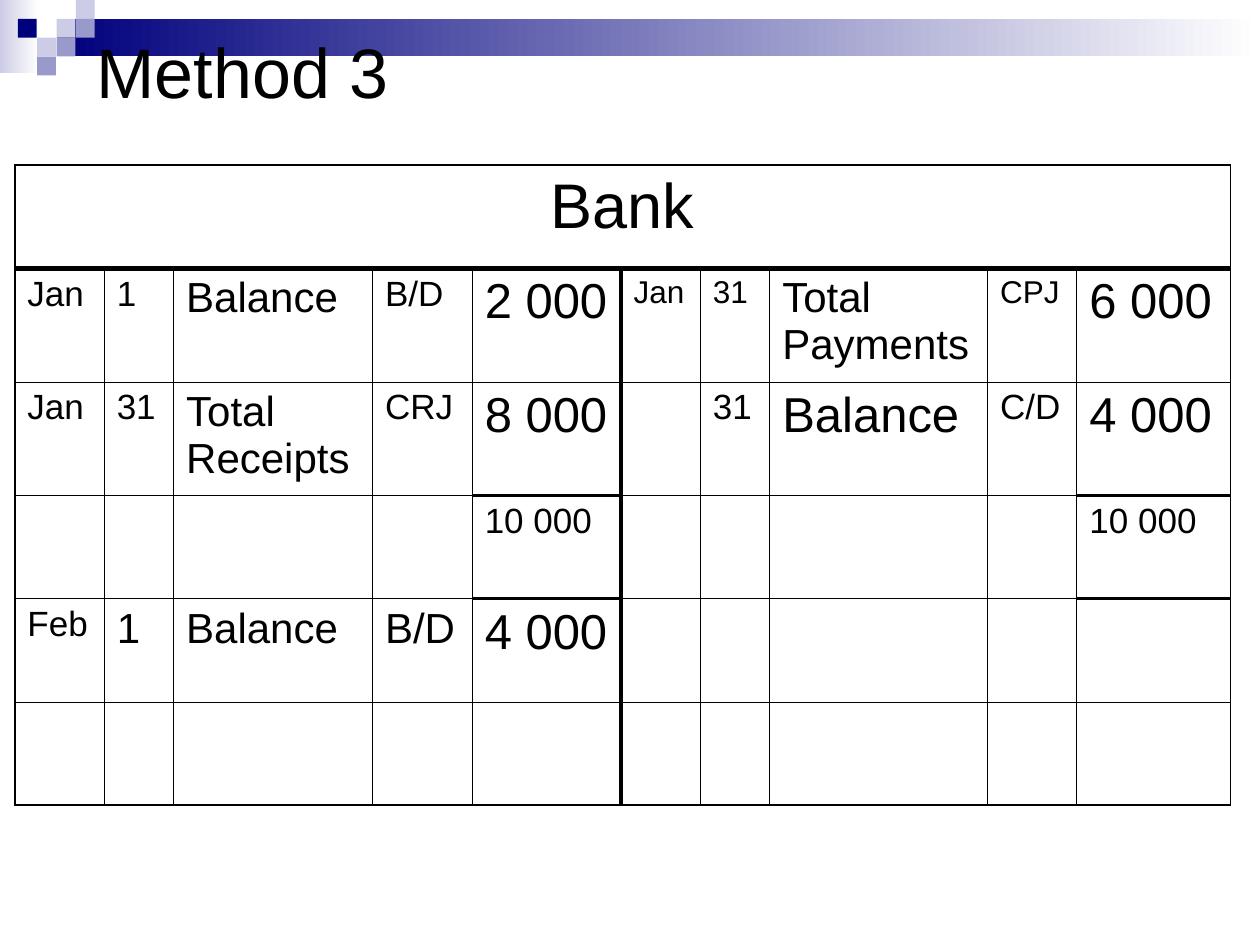
from lxml import etree
from pptx import Presentation
from pptx.dml.color import RGBColor
from pptx.enum.shapes import MSO_SHAPE
from pptx.enum.text import MSO_ANCHOR, PP_ALIGN
from pptx.oxml.ns import qn
from pptx.util import Cm, Pt

RECTANGLE = MSO_SHAPE.RECTANGLE
MIDDLE = MSO_ANCHOR.MIDDLE
CENTER = PP_ALIGN.CENTER

# Content: each entry is (text, type size name), None is an empty cell
TITLE = "Method 3"
ACCOUNT = "Bank"
ENTRIES = [
    [("Jan", "medium"), ("1", "medium"), ("Balance", "large"), ("B/D", "medium"), ("2 000", "amount"),
     ("Jan", "small"), ("31", "small"), ("Total Payments", "large"), ("CPJ", "small"), ("6 000", "amount")],
    [("Jan", "medium"), ("31", "medium"), ("Total Receipts", "large"), ("CRJ", "medium"), ("8 000", "amount"),
     None, ("31", "medium"), ("Balance", "amount"), ("C/D", "medium"), ("4 000", "amount")],
    [None, None, None, None, ("10 000", "medium"),
     None, None, None, None, ("10 000", "medium")],
    [("Feb", "medium"), ("1", "large"), ("Balance", "large"), ("B/D", "large"), ("4 000", "amount"),
     None, None, None, None, None],
    [None] * 10,
]
COLUMN_WIDTHS = [1.8, 1.4, 4.01, 2.01, 3, 1.6, 1.4, 4.39, 1.8, 3.1]
ROW_HEIGHTS = [2.08, 2.29, 2.29, 2.08, 2.08, 2.08]
AMOUNT_COLUMNS = (4, 9)
TOTAL_EDGES = (3, 4)  # rules above and below the totals

THEME = {
    "font": "Arial",
    "text": "000000", "white": "FFFFFF",
    "navy": "00007D", "mid": "9999CC", "pale": "CCCCE6",
    "title": 40, "account": 36, "amount": 28, "large": 24, "medium": 20, "small": 18,
    "thin": 0.45, "outer": 1.08, "strong": 2.21, "heading": 3,
}

# Banner: gradient bars (left, top, width, height, colour), then squares (column, row, colour)
BARS = [(0, 0, 0.79, 1.47, "pale"), (1.14, 0.38, 24.26, 0.76, "navy")]
SQUARES = [(2, 1, "pale"), (3, 0, "pale"), (3, 1, "mid"), (1, 2, "pale"),
           (0, 1, "navy"), (2, 2, "mid"), (1, 3, "mid")]
SQUARE_LEFT, SQUARE_STEP, SQUARE_SIZE = 0.36, 0.39, 0.38


def color(name):
    return RGBColor.from_string(THEME[name])


def add_rectangle(page, left, top, width, height):
    shape = page.shapes.add_shape(RECTANGLE, Cm(left), Cm(top), Cm(width), Cm(height))
    shape.shadow.inherit = False
    shape.line.fill.background()
    return shape


def add_span(para, text, size):
    span = para.add_run()
    span.text = text
    span.font.name = THEME["font"]
    span.font.size = Pt(THEME[size])
    span.font.color.rgb = color("text")


def horizontal_rule(edge, column):
    if edge == 1:
        return "heading"
    if edge in (0, len(ROW_HEIGHTS)):
        return "outer"
    return "strong" if edge in TOTAL_EDGES and column in AMOUNT_COLUMNS else "thin"


def vertical_rule(edge):
    if edge in (0, len(COLUMN_WIDTHS)):
        return "outer"
    return "strong" if edge == len(COLUMN_WIDTHS) // 2 else "thin"


def style_cell(cell, row, column, last_column):
    rules = {
        "a:lnL": vertical_rule(column),
        "a:lnR": vertical_rule(last_column + 1),
        "a:lnT": horizontal_rule(row, column),
        "a:lnB": horizontal_rule(row + 1, column),
    }
    properties = cell._tc.get_or_add_tcPr()
    for side, rule in rules.items():
        line = etree.SubElement(properties, qn(side), w=str(Pt(THEME[rule])))
        fill = etree.SubElement(line, qn("a:solidFill"))
        etree.SubElement(fill, qn("a:srgbClr"), val=THEME["text"])
    cell.fill.background()


def write_cell(cell, text, size):
    para = cell.text_frame.paragraphs[0]
    add_span(para, text, size)
    return para


deck = Presentation()
deck.slide_width, deck.slide_height = Cm(25.4), Cm(19.05)
page = deck.slides.add_slide(deck.slide_layouts[6])

# Banner
for left, top, width, height, name in BARS:
    bar = add_rectangle(page, left, top, width, height)
    bar.fill.gradient()
    bar.fill.gradient_angle = 180
    for stop, position, stop_color in zip(bar.fill.gradient_stops, (0, 1), ("white", name)):
        stop.position = position
        stop.color.rgb = color(stop_color)
for column, row, name in SQUARES:
    square = add_rectangle(page, SQUARE_LEFT + column * SQUARE_STEP, row * SQUARE_SIZE,
                           SQUARE_SIZE, SQUARE_SIZE)
    square.fill.solid()
    square.fill.fore_color.rgb = color(name)

# Title
box = page.shapes.add_textbox(Cm(1.7), Cm(0.53), Cm(22.86), Cm(1.8))
box.text_frame.word_wrap = True
box.text_frame.vertical_anchor = MIDDLE
add_span(box.text_frame.paragraphs[0], TITLE, "title")

# Ledger table
table = page.shapes.add_table(len(ROW_HEIGHTS), len(COLUMN_WIDTHS), Cm(0.3), Cm(3.33),
                              Cm(sum(COLUMN_WIDTHS)), Cm(sum(ROW_HEIGHTS))).table
table.first_row = table.horz_banding = False
for column, width in zip(table.columns, COLUMN_WIDTHS):
    column.width = Cm(width)
for row, height in zip(table.rows, ROW_HEIGHTS):
    row.height = Cm(height)

# Account heading
last = len(COLUMN_WIDTHS) - 1
heading = table.cell(0, 0)
heading.merge(table.cell(0, last))
style_cell(heading, 0, 0, last)
para = write_cell(heading, ACCOUNT, "account")
para.alignment = CENTER
para.space_before = Pt(THEME["account"] / 4)

# Entries
for row, entries in enumerate(ENTRIES, start=1):
    for column, entry in enumerate(entries):
        cell = table.cell(row, column)
        style_cell(cell, row, column, column)
        if entry:
            text, size = entry
            write_cell(cell, text, size).space_before = Pt(THEME[size] / 4)

deck.save("out.pptx")
